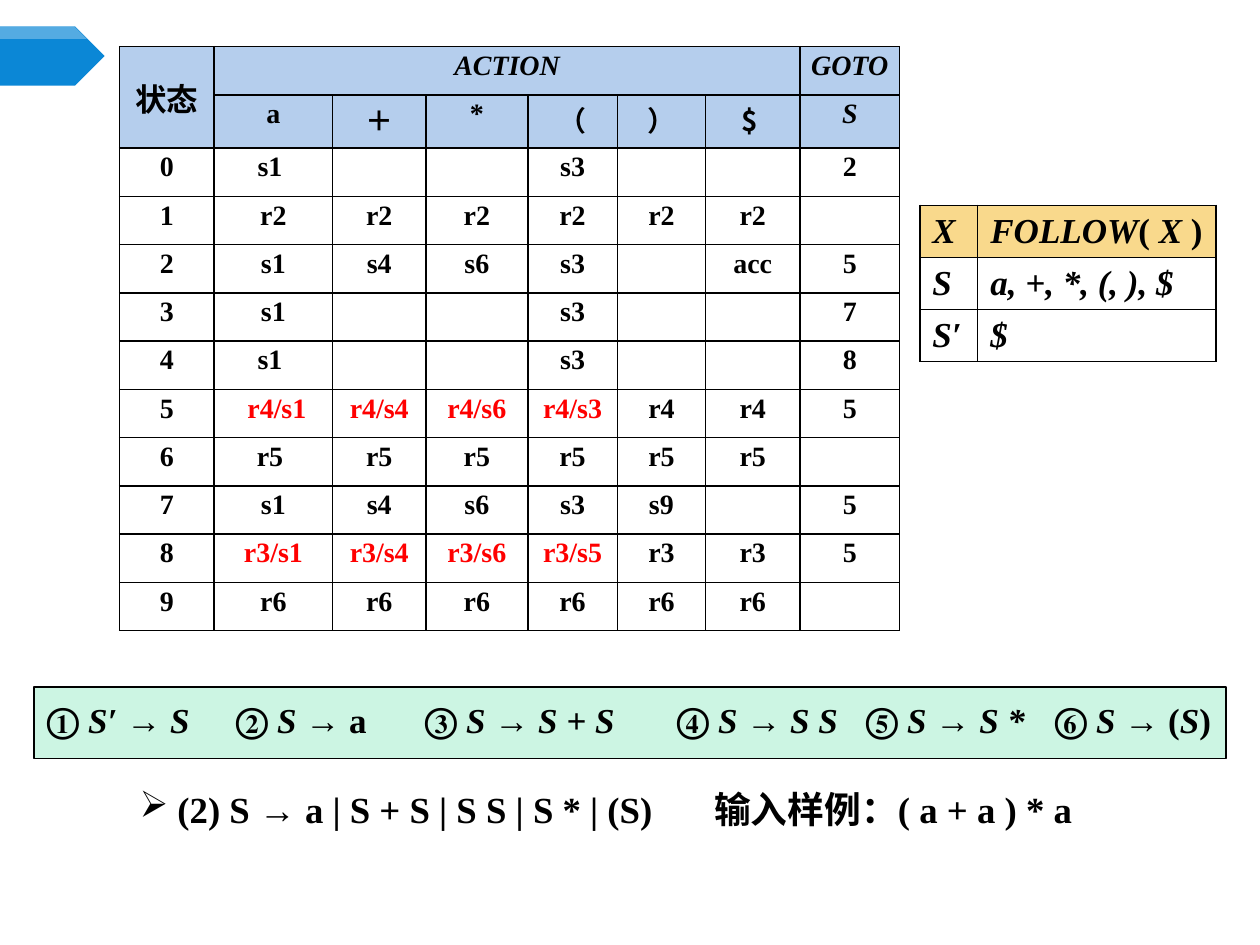
from lxml.etree import SubElement
from pptx import Presentation
from pptx.dml.color import RGBColor
from pptx.enum.shapes import MSO_SHAPE
from pptx.enum.text import MSO_ANCHOR, MSO_AUTO_SIZE, PP_ALIGN
from pptx.oxml.ns import qn
from pptx.util import Inches, Pt

SERIF, CJK = "Times New Roman", "Noto Sans CJK SC"
BLACK, RED = "000000", "FF0000"
HEADER_BLUE, HEADER_GOLD = "B5CEED", "F9D98C"

PARSE_COLUMNS = [0.75, 0.94, 0.74, 0.81, 0.71, 0.7, 0.75, 0.79]
PARSE_ROWS = [
    ["状态", "_ACTION", "", "", "", "", "", "_GOTO"],
    ["", "a", "＋", "*", "（", "）", "$ ", "_S"],
    ["0", "s1 ", "", "", "s3", "", "", "2"],
    ["1"] + ["r2"] * 6 + [""],
    ["2", "s1", "s4", "s6", "s3", "", "acc", "5"],
    ["3", "s1", "", "", "s3", "", "", "7"],
    ["4", "s1 ", "", "", "s3", "", "", "8"],
    ["5", " r4/s1", "r4/s4", "r4/s6", "r4/s3", "r4", "r4", "5"],
    ["6", "r5 "] + ["r5"] * 5 + [""],
    ["7", "s1", "s4", "s6", "s3", "s9", "", "5"],
    ["8", "r3/s1", "r3/s4", "r3/s6", "r3/s5", "r3", "r3", "5"],
    ["9"] + ["r6"] * 6 + [""],
]
FOLLOW_ROWS = [
    ["_X", "_FOLLOW_( _X_ )"],
    ["_S", "_a, +, *, (, ), $"],
    ["_S′", "_$"],
]
PRODUCTIONS = [
    "① _S′ _→ _S", "② _S_ → a", "③ _S_ → _S + S",
    "④ _S_ → _S S", "⑤ _S _→ _S *", "⑥ _S_ → (_S_)",
]
PRODUCTION_STOPS = [1.41, 2.73, 4.52, 6.07, 7.61]


def rgb(value):
    return RGBColor.from_string(value)


def paint(shape, fill, line=None):
    shape.shadow.inherit = False
    shape.fill.solid()
    shape.fill.fore_color.rgb = rgb(fill)
    if line:
        shape.line.color.rgb = rgb(line)
        shape.line.width = Pt(1)
    else:
        shape.line.fill.background()


def write(paragraph, text, size, color=BLACK, font=SERIF):
    """Add bold runs; each underscore in the text switches italics."""
    for index, part in enumerate(text.split("_")):
        if not part:
            continue
        run = paragraph.add_run()
        run.text = part
        run.font.size = Pt(size)
        run.font.name = font
        run.font.bold = True
        run.font.italic = index % 2 == 1
        run.font.color.rgb = rgb(color)
        SubElement(run.font._element, qn("a:ea"), typeface=CJK)


def set_list_format(paragraph, margin, indent, bullet, stops):
    properties = paragraph._p.get_or_add_pPr()
    properties.set("marL", str(Inches(margin)))
    properties.set("indent", str(Inches(indent)))
    if bullet:
        SubElement(properties, qn("a:buChar"), char=bullet)
    else:
        SubElement(properties, qn("a:buNone"))
    tabs = SubElement(properties, qn("a:tabLst"))
    for stop in stops:
        SubElement(tabs, qn("a:tab"), pos=str(Inches(stop)), algn="l")


def add_borders(cell):
    properties = cell._tc.get_or_add_tcPr()
    for side in ("lnL", "lnR", "lnT", "lnB"):
        line = SubElement(properties, qn(f"a:{side}"), w=str(Pt(1)))
        fill = SubElement(line, qn("a:solidFill"))
        SubElement(fill, qn("a:srgbClr"), val=BLACK)


def add_grid(slide, left, top, columns, row_height, row_count, inset):
    """Add a bordered, unfilled table with the same margins in every cell."""
    table = slide.shapes.add_table(
        row_count, len(columns), Inches(left), Inches(top),
        Inches(sum(columns)), Inches(row_height * row_count)).table
    for column, width in zip(table.columns, columns):
        column.width = Inches(width)
    for row in table.rows:
        row.height = Inches(row_height)
    for cell in table.iter_cells():
        add_borders(cell)
        cell.fill.background()
        cell.margin_left = cell.margin_right = Inches(inset[0])
        cell.margin_top = cell.margin_bottom = Inches(inset[1])
    return table


def fill_cell(cell, color):
    cell.fill.solid()
    cell.fill.fore_color.rgb = rgb(color)


def add_parse_table(slide):
    table = add_grid(slide, 0.95, 0.37, PARSE_COLUMNS, 4.6 / len(PARSE_ROWS),
                     len(PARSE_ROWS), (0.07, 0.03))
    table.cell(0, 0).merge(table.cell(1, 0))
    table.cell(0, 1).merge(table.cell(0, 6))
    table.cell(0, 0).vertical_anchor = MSO_ANCHOR.MIDDLE
    for r, entries in enumerate(PARSE_ROWS):
        for c, entry in enumerate(entries):
            cell = table.cell(r, c)
            if r < 2:
                fill_cell(cell, HEADER_BLUE)
            paragraph = cell.text_frame.paragraphs[0]
            paragraph.alignment = PP_ALIGN.CENTER
            conflict = "/" in entry
            write(paragraph, entry, 18 if entry == "状态" else 16,
                  RED if conflict else BLACK,
                  CJK if entry in ("状态", "＋", "$ ") else SERIF)


def add_follow_table(slide):
    table = add_grid(slide, 7.3, 1.63, [0.46, 1.89], 0.41,
                     len(FOLLOW_ROWS), (0.1, 0.04))
    for r, entries in enumerate(FOLLOW_ROWS):
        for c, entry in enumerate(entries):
            cell = table.cell(r, c)
            cell.vertical_anchor = MSO_ANCHOR.MIDDLE
            if r == 0:
                fill_cell(cell, HEADER_GOLD)
            write(cell.text_frame.paragraphs[0], entry, 20)


def add_corner_tag(slide):
    tag = slide.shapes.add_shape(MSO_SHAPE.PENTAGON, 0, Inches(0.21),
                                 Inches(0.83), Inches(0.47))
    paint(tag, "0B87D6")
    builder = slide.shapes.build_freeform(0, Inches(0.21))
    builder.add_line_segments(
        [(Inches(x), Inches(y)) for x, y in
         ((0.59, 0.21), (0.69, 0.31), (0, 0.31))])
    highlight = builder.convert_to_shape()
    paint(highlight, "FFFFFF")
    color = highlight.fill._xPr.find(qn("a:solidFill"))[0]
    SubElement(color, qn("a:alpha"), val="30000")


def add_productions(slide):
    band = slide.placeholders[1]
    band.left, band.top = Inches(0.27), Inches(5.45)
    band.width, band.height = Inches(9.46), Inches(0.57)
    band.fill.solid()
    band.fill.fore_color.rgb = rgb("CCF5E3")
    band.line.color.rgb = rgb(BLACK)
    band.line.width = Pt(1)
    frame = band.text_frame
    frame.auto_size = MSO_AUTO_SIZE.NONE
    frame.vertical_anchor = MSO_ANCHOR.MIDDLE
    paragraph = frame.paragraphs[0]
    set_list_format(paragraph, 0, 0, None, PRODUCTION_STOPS)
    paragraph.line_spacing = Pt(20)
    paragraph.space_before = Pt(0)
    for index, production in enumerate(PRODUCTIONS):
        write(paragraph, ("\t" if index else "") + production, 20)


def add_exercise(slide):
    box = slide.shapes.add_textbox(Inches(0.57), Inches(6.02),
                                   Inches(8.71), Inches(0.58))
    box.text_frame.word_wrap = True
    paragraph = box.text_frame.paragraphs[0]
    set_list_format(paragraph, 0.74, -0.3, "➢", [5])
    paragraph.line_spacing = Pt(38)
    write(paragraph, "(2) S → a | S + S | S S | S * | (S)\t输入样例：( a + a ) * a", 21)


def main():
    deck = Presentation()
    deck.slide_width, deck.slide_height = Inches(10), Inches(7.5)
    slide = deck.slides.add_slide(deck.slide_layouts[1])
    title = slide.shapes.title._element
    title.getparent().remove(title)
    add_corner_tag(slide)
    add_parse_table(slide)
    add_exercise(slide)
    add_productions(slide)
    add_follow_table(slide)
    deck.save("out.pptx")


if __name__ == "__main__":
    main()
